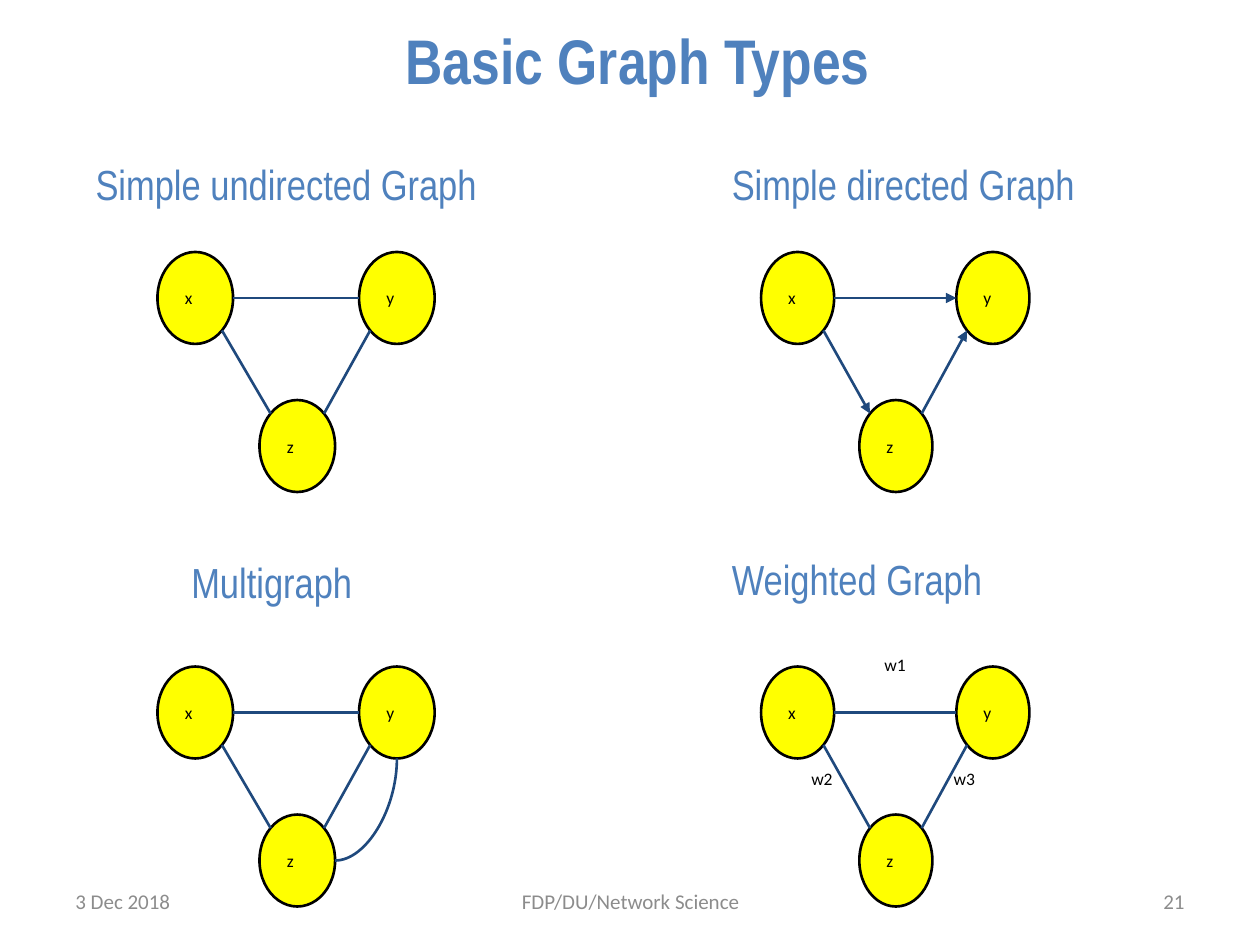
"""Build a slide that shows four basic graph types."""
from math import sqrt

from lxml.etree import SubElement
from pptx import Presentation
from pptx.dml.color import RGBColor
from pptx.enum.shapes import MSO_CONNECTOR, MSO_SHAPE
from pptx.enum.text import MSO_ANCHOR, PP_ALIGN
from pptx.oxml.ns import qn
from pptx.util import Inches, Pt

COLORS = {"heading": "4F81BD", "node": "FFFF00", "outline": "000000",
          "edge": "1F497D", "label": "000000", "footer": "8C8C8C"}
STYLES = {
    "title": {"size": Pt(36), "name": "Arial Narrow", "bold": True},
    "heading": {"size": Pt(24), "name": "Arial Narrow"},
    "label": {"size": Pt(10), "name": "Calibri"},
    "footer": {"size": Pt(12), "name": "Calibri"},
}
STYLE_COLORS = {"title": "heading", "heading": "heading",
                "label": "label", "footer": "footer"}
NODE_HEIGHT = 0.73
Z_DROP = 1.175
LEFT_COLUMN = {"width": 0.6, "x": 1.25, "y": 2.85, "z": 2.06}
RIGHT_COLUMN = {"width": 0.58, "x": 6.04, "y": 7.59, "z": 6.82}
TOP_ROW, BOTTOM_ROW = 2, 5.29
DIAGONAL = 1 / sqrt(2)
EDGES = [("x", (1, 0), "y", (-1, 0)),
         ("x", (DIAGONAL, DIAGONAL), "z", (-DIAGONAL, -DIAGONAL)),
         ("z", (DIAGONAL, -DIAGONAL), "y", (-DIAGONAL, DIAGONAL))]
HEADINGS = [("Simple undirected Graph", 0.66, 1.16, 4.09),
            ("Simple directed Graph", 5.71, 1.16, 3.84),
            ("Weighted Graph", 5.71, 4.29, 3.93),
            ("Multigraph", 1.42, 4.32, 2.67)]
WEIGHTS = [("w1", 6.92, 5.11), ("w2", 6.34, 6.01), ("w3", 7.47, 6.01)]
FOOTERS = [("3 Dec 2018", 0.5, 2.33, PP_ALIGN.LEFT),
           ("FDP/DU/Network Science", 3.42, 3.17, PP_ALIGN.CENTER),
           ("21", 7.17, 2.33, PP_ALIGN.RIGHT)]


def color(name):
    """Return the named colour."""
    return RGBColor.from_string(COLORS[name])


def write_text(shape, text, style, align=PP_ALIGN.LEFT,
               anchor=MSO_ANCHOR.TOP, vertical_inset=0.1):
    """Write one styled paragraph into a shape."""
    frame = shape.text_frame
    frame_format = {"word_wrap": True, "vertical_anchor": anchor,
                    "margin_left": Inches(0.1), "margin_right": Inches(0.1),
                    "margin_top": Inches(vertical_inset),
                    "margin_bottom": Inches(vertical_inset)}
    for attribute, value in frame_format.items():
        setattr(frame, attribute, value)
    paragraph = frame.paragraphs[0]
    paragraph.alignment = align
    run = paragraph.add_run()
    run.text = text
    for attribute, value in STYLES[style].items():
        setattr(run.font, attribute, value)
    run.font.color.rgb = color(STYLE_COLORS[style])


def add_text(slide, text, box, style, **options):
    """Add a text box at left, top, width, height."""
    shape = slide.shapes.add_textbox(*map(Inches, box))
    write_text(shape, text, style, **options)


def add_node(slide, name, left, top, width):
    """Add a labelled graph node."""
    shape = slide.shapes.add_shape(
        MSO_SHAPE.OVAL, *map(Inches, (left, top, width, NODE_HEIGHT)))
    shape.shadow.inherit = False
    shape.fill.solid()
    shape.fill.fore_color.rgb = color("node")
    shape.line.color.rgb = color("outline")
    shape.line.width = Pt(1.5)
    write_text(shape, f" {name}", "label", anchor=MSO_ANCHOR.MIDDLE)


def add_edge(slide, start, end, kind=MSO_CONNECTOR.STRAIGHT, arrow=False):
    """Add an edge between two points, with an arrowhead on request."""
    connector = slide.shapes.add_connector(kind, *map(Inches, start + end))
    connector.line.color.rgb = color("edge")
    connector.line.width = Pt(1.5)
    if arrow:
        SubElement(connector.line._get_or_add_ln(), qn("a:tailEnd"), type="triangle")
    SubElement(connector._element.spPr, qn("a:effectLst"))
    return connector


def rim_point(column, row, name, direction):
    """Return the point on a node's rim in a direction from its centre."""
    top = row + (Z_DROP if name == "z" else 0)
    return (column[name] + column["width"] / 2 * (1 + direction[0]),
            top + NODE_HEIGHT / 2 * (1 + direction[1]))


def add_graph(slide, column, row, directed=False):
    """Add a triangle of nodes x, y, z and its edges."""
    for name in "xyz":
        top = row + (Z_DROP if name == "z" else 0)
        add_node(slide, name, column[name], top, column["width"])
    for source, leaving, target, arriving in EDGES:
        add_edge(slide, rim_point(column, row, source, leaving),
                 rim_point(column, row, target, arriving), arrow=directed)


def add_parallel_edge(slide, column, row):
    """Add the second, curved edge from z to y."""
    connector = add_edge(slide, rim_point(column, row, "z", (1, 0)),
                         rim_point(column, row, "y", (0, 1)), MSO_CONNECTOR.CURVE)
    connector._element.spPr.find(qn("a:prstGeom")).set("prst", "curvedConnector2")


def main():
    """Build and save the presentation."""
    presentation = Presentation()
    presentation.slide_width, presentation.slide_height = Inches(10), Inches(7.5)
    slide = presentation.slides.add_slide(presentation.slide_layouts[6])
    add_text(slide, " Basic Graph Types", (0.09, 0.07, 9.83, 0.81), "title",
             align=PP_ALIGN.CENTER)
    for text, left, top, width in HEADINGS:
        add_text(slide, text, (left, top, width, 0.56), "heading")
    add_graph(slide, LEFT_COLUMN, TOP_ROW)
    add_graph(slide, RIGHT_COLUMN, TOP_ROW, directed=True)
    add_graph(slide, RIGHT_COLUMN, BOTTOM_ROW)
    add_graph(slide, LEFT_COLUMN, BOTTOM_ROW)
    add_parallel_edge(slide, LEFT_COLUMN, BOTTOM_ROW)
    for text, left, top in WEIGHTS:
        add_text(slide, text, (left, top, 0.48, 0.44), "label")
    for text, left, width, align in FOOTERS:
        add_text(slide, text, (left, 6.95, width, 0.4), "footer", align=align,
                 anchor=MSO_ANCHOR.MIDDLE, vertical_inset=0.05)
    presentation.save("out.pptx")


if __name__ == "__main__":
    main()
